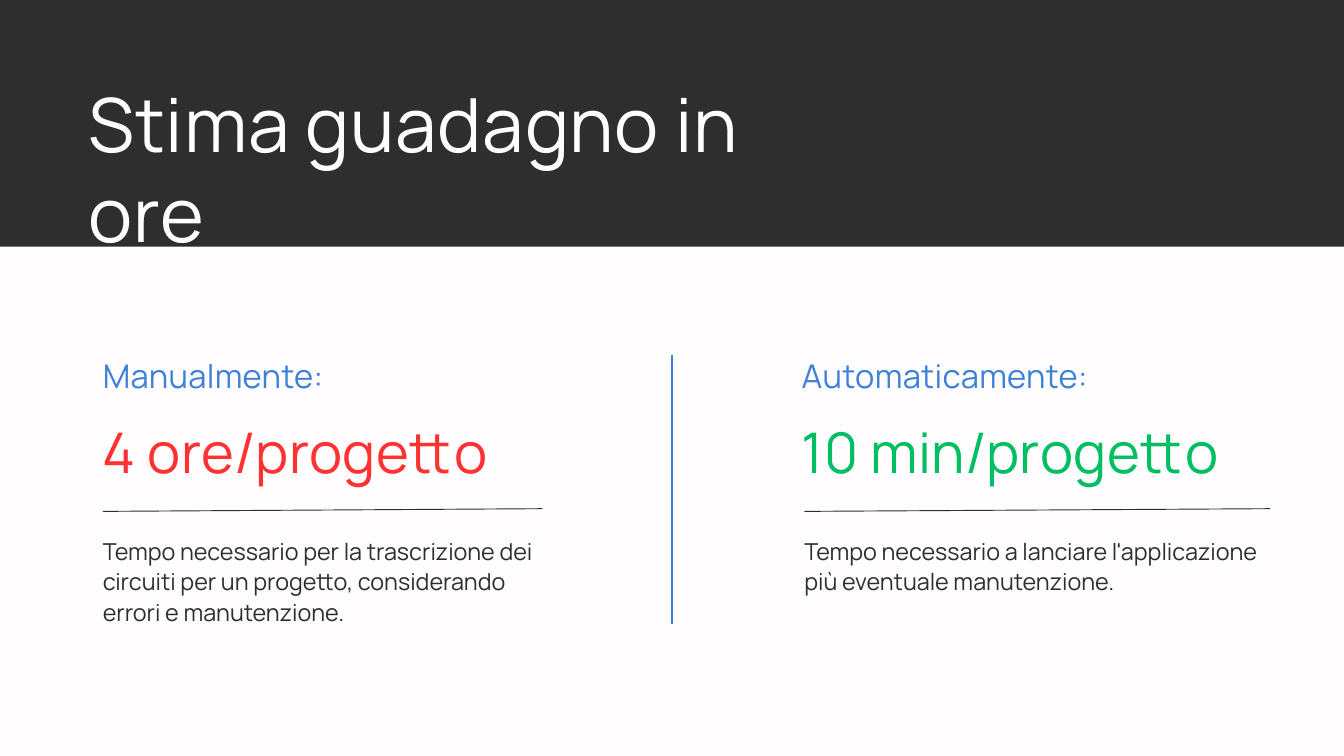
from dataclasses import dataclass

import pptx
import pptx.util
from pptx.dml.color import RGBColor
from pptx.enum.shapes import MSO_CONNECTOR, MSO_SHAPE
from pptx.oxml.ns import qn
from pptx.slide import Slide

COLS, ROWS = 20, 11.25  # grid of square cells
CELL = pptx.util.Inches(1)


@dataclass(frozen=True)
class Theme:
    font: str = "Manrope"
    paper: str = "FFFDFD"
    ink: str = "2E2E2E"
    accent: str = "3E81DB"
    slow: str = "FF3131"
    fast: str = "00BF63"
    title: float = 80
    figure: float = 60
    label: float = 35
    body: float = 25


@dataclass(frozen=True)
class Estimate:
    label: str
    figure: str
    note: str
    color: str
    head_col: float
    note_col: float
    width: float


T = Theme()
ESTIMATES = [
    Estimate("Manualmente:", "4 ore/progetto",
             "Tempo necessario per la trascrizione dei circuiti per un progetto, "
             "considerando errori e manutenzione.",
             T.slow, 1.53, 1.53, 6.54),
    Estimate("Automaticamente:", "10 min/progetto",
             "Tempo necessario a lanciare l'applicazione più eventuale manutenzione.",
             T.fast, 11.93, 11.97, 6.93),
]


def grid(n: float) -> int:
    """Length of n grid cells."""
    return round(n * CELL)


def rgb(color: str) -> RGBColor:
    return RGBColor.from_string(color)


def add_text(s: Slide, text: str, col: float, row: float, cols: float, rows: float, *,
             size: float, color: str, leading: float = 1.2, tracking: float = 0.01) -> None:
    """Leading and tracking are shares of the type size."""
    tf = s.shapes.add_textbox(grid(col), grid(row), grid(cols), grid(rows)).text_frame
    tf.word_wrap = True
    tf.margin_left = tf.margin_top = tf.margin_right = tf.margin_bottom = 0
    p = tf.paragraphs[0]
    p.line_spacing = pptx.util.Pt(size * leading)
    r = p.add_run()
    r.text = text
    r.font.name = T.font
    r.font.size = pptx.util.Pt(size)
    r.font.color.rgb = rgb(color)
    if tracking:
        r.font._element.set("spc", str(round(size * tracking * 100)))


def add_line(s: Slide, col1: float, row1: float, col2: float, row2: float, *,
             color: str, weight: float) -> None:
    line = s.shapes.add_connector(MSO_CONNECTOR.STRAIGHT, grid(col1), grid(row1),
                                  grid(col2), grid(row2))
    line.line.color.rgb = rgb(color)
    line.line.width = pptx.util.Pt(weight)
    sp_pr = line._element.spPr
    sp_pr.append(sp_pr.makeelement(qn("a:effectLst"), {}))


def add_band(s: Slide, rows: float) -> None:
    sp = s.shapes.add_shape(MSO_SHAPE.RECTANGLE, 0, 0, grid(COLS), grid(rows))
    sp.shadow.inherit = False
    sp.fill.solid()
    sp.fill.fore_color.rgb = rgb(T.ink)
    sp.line.fill.background()


def add_estimate(s: Slide, e: Estimate) -> None:
    add_text(s, e.label, e.head_col, 5.29, e.width, 0.58, size=T.label, color=T.accent)
    add_text(s, e.figure, e.head_col, 6.21, e.width, 1.01, size=T.figure, color=e.color)
    add_line(s, e.note_col, 7.61, e.note_col + e.width, 7.57, color=T.ink, weight=1)
    add_text(s, e.note, e.note_col, 7.96, e.width, 1.32, size=T.body, color=T.ink,
             leading=1.3, tracking=0)


def main() -> None:
    prs = pptx.Presentation()
    prs.slide_width, prs.slide_height = grid(COLS), grid(ROWS)
    s = prs.slides.add_slide(prs.slide_layouts[6])
    s.background.fill.solid()
    s.background.fill.fore_color.rgb = rgb(T.paper)

    add_band(s, 3.67)
    add_text(s, "Stima guadagno in ore", 1.32, 1.16, 10.46, 2.68,
             size=T.title, color=T.paper)
    for e in ESTIMATES:
        add_estimate(s, e)
    add_line(s, COLS / 2, 5.28, COLS / 2, 9.28, color=T.accent, weight=3)
    prs.save("out.pptx")


if __name__ == "__main__":
    main()
